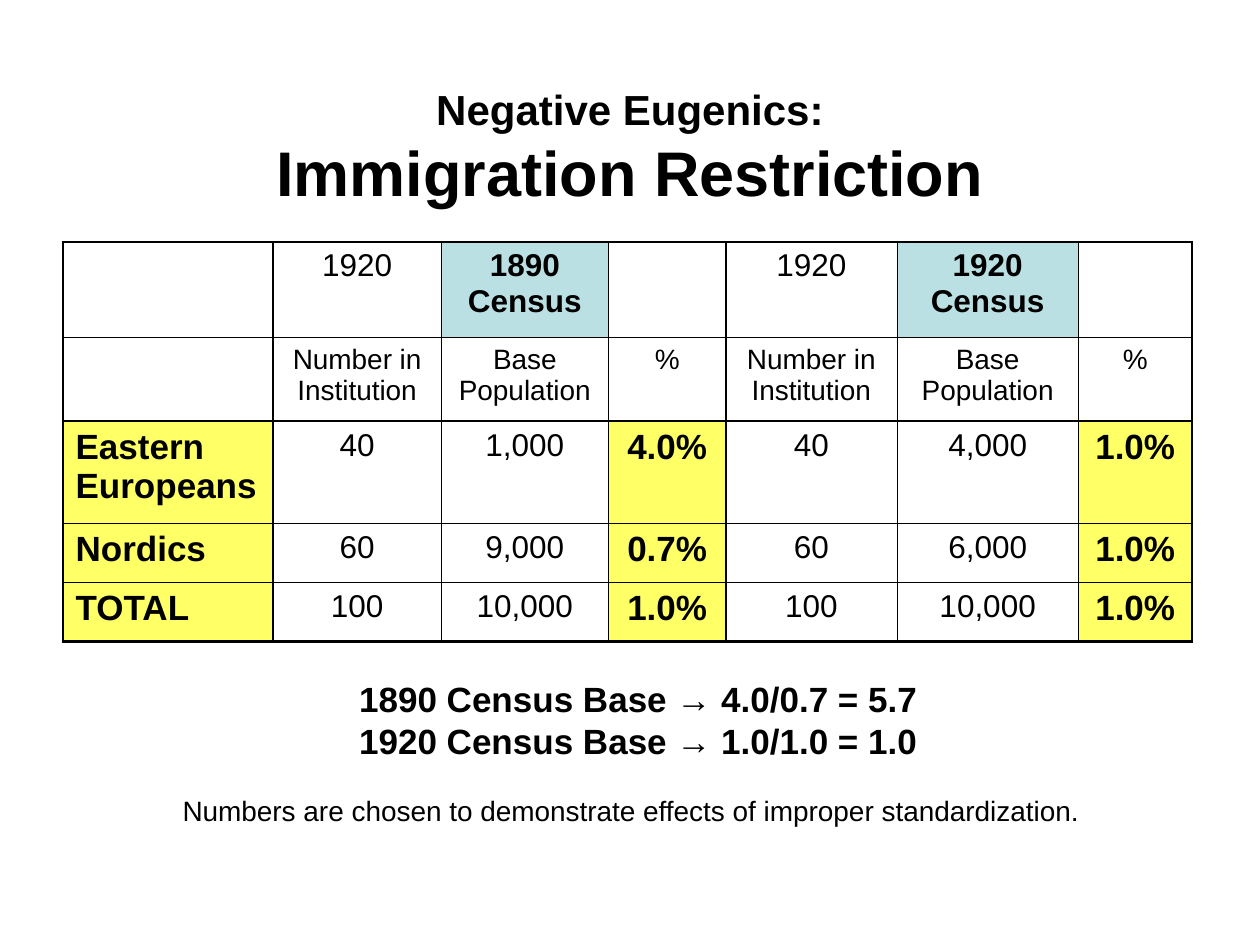
from lxml import etree
from pptx import Presentation
from pptx.dml.color import RGBColor
from pptx.enum.text import MSO_ANCHOR, PP_ALIGN
from pptx.oxml.ns import qn
from pptx.util import Cm, Pt

LEFT, CENTER = PP_ALIGN.LEFT, PP_ALIGN.CENTER
TOP, MIDDLE = MSO_ANCHOR.TOP, MSO_ANCHOR.MIDDLE

COL_WIDTHS = [4.24, 3.38, 3.38, 2.36, 3.45, 3.66, 2.29]
ROW_HEIGHTS = [1.93, 1.68, 2.06, 1.19, 1.19]
ROWS = [
    ["", "1920", "1890 Census", "", "1920", "1920 Census", ""],
    [""] + ["Number in Institution", "Base Population", "%"] * 2,
    ["Eastern Europeans", "40", "1,000", "4.0%", "40", "4,000", "1.0%"],
    ["Nordics", "60", "9,000", "0.7%", "60", "6,000", "1.0%"],
    ["TOTAL", "100", "10,000", "1.0%", "100", "10,000", "1.0%"],
]
CENSUS_COLS = (2, 5)
KEY_COLS = (0, 3, 6)
# Grid lines that are drawn heavy
HEAVY_X = (0, 1, 4, 7)
HEAVY_Y = (0, 2, 5)


def rgb(value):
    return RGBColor.from_string(value)


class SlideBuilder:
    font = "Arial"
    ink = "000000"
    census_fill = "BBE0E3"
    key_fill = "FFFF66"
    thin, heavy = 0.45, 1.47

    def __init__(self, slide):
        self.slide = slide

    def format_run(self, r, size, bold):
        r.font.name = self.font
        r.font.size = Pt(size)
        r.font.bold = bold
        r.font.color.rgb = rgb(self.ink)

    def text(self, box, text, sizes, bold=False, align=LEFT, anchor=TOP, wrap=True):
        """Sizes are given per run and repeat in each paragraph."""
        sp = self.slide.shapes.add_textbox(*[Cm(v) for v in box])
        tf = sp.text_frame
        tf.word_wrap = wrap
        tf.vertical_anchor = anchor
        tf.text = text
        for p in tf.paragraphs:
            p.alignment = align
            for r, size in zip(p.runs, sizes):
                self.format_run(r, size, bold)

    def border(self, cell, side, width):
        ln = etree.SubElement(cell._tc.get_or_add_tcPr(), qn(f"a:ln{side}"),
                              w=str(Pt(width)))
        fill = etree.SubElement(ln, qn("a:solidFill"))
        etree.SubElement(fill, qn("a:srgbClr"), val=self.ink)

    def cell(self, cell, row, col, text):
        census = row == 0 and col in CENSUS_COLS
        key = row >= 2 and col in KEY_COLS
        # Borders come before the fill in the cell properties
        for side, heavy in (("L", col in HEAVY_X), ("R", col + 1 in HEAVY_X),
                            ("T", row in HEAVY_Y), ("B", row + 1 in HEAVY_Y)):
            self.border(cell, side, self.heavy if heavy else self.thin)
        if census or key:
            cell.fill.solid()
            cell.fill.fore_color.rgb = rgb(self.census_fill if census else self.key_fill)
        else:
            cell.fill.background()
        cell.text = text
        p = cell.text_frame.paragraphs[0]
        p.alignment = LEFT if key and col == 0 else CENTER
        size = 20 if key else 16 if row == 1 else 18
        for r in p.runs:
            self.format_run(r, size, census or key)

    def table(self, left, top):
        frame = self.slide.shapes.add_table(
            len(ROWS), len(COL_WIDTHS), Cm(left), Cm(top),
            Cm(sum(COL_WIDTHS)), Cm(sum(ROW_HEIGHTS)))
        table = frame.table
        table.first_row = table.horz_banding = False
        for column, width in zip(table.columns, COL_WIDTHS):
            column.width = Cm(width)
        for i, (height, texts) in enumerate(zip(ROW_HEIGHTS, ROWS)):
            table.rows[i].height = Cm(height)
            for j, text in enumerate(texts):
                self.cell(table.cell(i, j), i, j, text)


def main():
    prs = Presentation()
    prs.slide_width, prs.slide_height = Cm(25.4), Cm(19.05)
    s = SlideBuilder(prs.slides.add_slide(prs.slide_layouts[6]))

    # Title
    s.text((1.27, 1.47, 22.86, 2.97), "Negative Eugenics:\vImmigration Restriction",
           [24, 36], bold=True, align=CENTER, anchor=MIDDLE)

    # Comparison table
    s.table(1.27, 4.88)

    # Note and resulting ratios
    s.text((3.43, 15.88, 18.59, 0.94),
           "Numbers are chosen to demonstrate effects of improper standardization.",
           [16], wrap=False)
    s.text((6.99, 13.54, 11.86, 1.96),
           "1890 Census Base → 4.0/0.7 = 5.7\n1920 Census Base → 1.0/1.0 = 1.0",
           [20], bold=True)

    prs.save("out.pptx")


if __name__ == "__main__":
    main()
